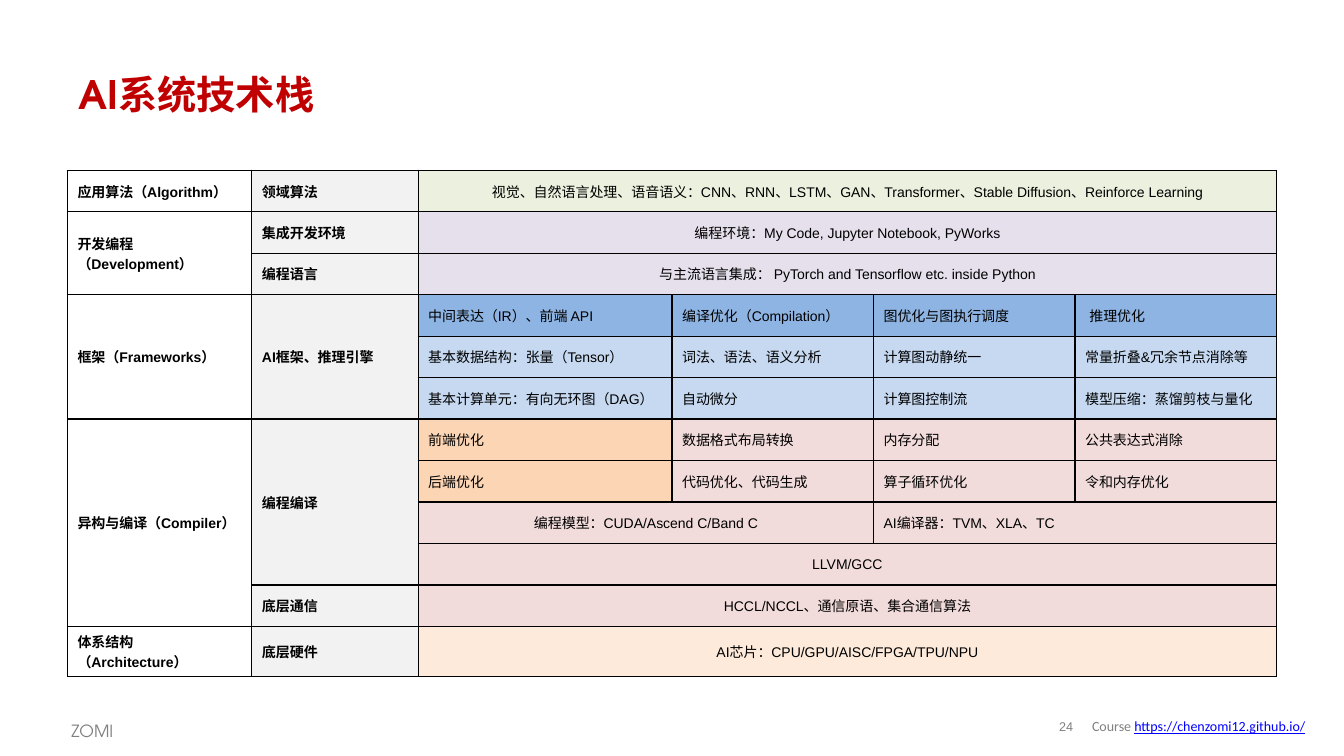
from dataclasses import dataclass
from typing import Any

from lxml import etree
from pptx import Presentation
from pptx.dml.color import RGBColor
from pptx.enum.text import MSO_ANCHOR, MSO_AUTO_SIZE, PP_ALIGN
from pptx.oxml.ns import qn
from pptx.util import Cm, Pt

LEFT, CENTER = PP_ALIGN.LEFT, PP_ALIGN.CENTER
TOP, MIDDLE = MSO_ANCHOR.TOP, MSO_ANCHOR.MIDDLE
NO_AUTOFIT = MSO_AUTO_SIZE.NONE

BLACK, WHITE, GREY, RED, LINK_BLUE = "000000", "FFFFFF", "808080", "C00000", "0000FF"
LABEL_GREY, GREEN, PURPLE = "F2F2F2", "EBF1DE", "E6E0EC"
BLUE, PALE_BLUE = "8EB4E3", "C6D9F1"
ORANGE, PINK, PEACH = "FCD5B5", "F2DCDB", "FDEADA"

DISPLAY_FONT = "TeX Gyre Adventor"
ROW_COUNT = 12
COLUMN_WIDTHS = [4.65, 4.19, 6.4, 5.08, 5.08, 5.08]
TABLE_LEFT, TABLE_TOP, TABLE_HEIGHT = 1.7, 4.29, 12.55
LABEL_COLUMNS = 2
BORDER_SIDES = ("a:lnL", "a:lnR", "a:lnT", "a:lnB")


@dataclass
class StackCell:
    row: int
    column: int
    text: str
    fill: str = WHITE
    rows: int = 1
    columns: int = 1
    align: PP_ALIGN = LEFT


@dataclass
class Phrase:
    text: str
    font: str
    size: float
    color: str
    underline: bool = False


@dataclass
class FooterItem:
    left: float
    top: float
    width: float
    height: float
    phrases: list[Phrase]
    frame_format: dict[str, Any]
    paragraph_format: dict[str, Any]


LAYERS = [
    StackCell(0, 0, "应用算法（Algorithm）"),
    StackCell(1, 0, "开发编程（Development）", rows=2),
    StackCell(3, 0, "框架（Frameworks）", rows=3),
    StackCell(6, 0, "异构与编译（Compiler）", rows=5),
    StackCell(11, 0, "体系结构（Architecture）"),
]
COMPONENTS = [
    StackCell(0, 1, "领域算法", LABEL_GREY),
    StackCell(1, 1, "集成开发环境", LABEL_GREY),
    StackCell(2, 1, "编程语言", LABEL_GREY),
    StackCell(3, 1, "AI框架、推理引擎", LABEL_GREY, rows=3),
    StackCell(6, 1, "编程编译", LABEL_GREY, rows=4),
    StackCell(10, 1, "底层通信", LABEL_GREY),
    StackCell(11, 1, "底层硬件", LABEL_GREY),
]
WIDE_DETAILS = [
    StackCell(row, 2, text, fill, columns=4, align=CENTER)
    for row, text, fill in [
        (0, "视觉、自然语言处理、语音语义：CNN、RNN、LSTM、GAN、Transformer、"
            "Stable Diffusion、Reinforce Learning", GREEN),
        (1, "编程环境：My Code, Jupyter Notebook, PyWorks", PURPLE),
        (2, "与主流语言集成： PyTorch and Tensorflow etc. inside Python", PURPLE),
        (9, "LLVM/GCC", PINK),
        (10, "HCCL/NCCL、通信原语、集合通信算法", PINK),
        (11, "AI芯片：CPU/GPU/AISC/FPGA/TPU/NPU", PEACH),
    ]
]
HALF_DETAILS = [
    StackCell(8, 2, "编程模型：CUDA/Ascend C/Band C", PINK, columns=2, align=CENTER),
    StackCell(8, 4, "AI编译器：TVM、XLA、TC", PINK, columns=2),
]
GRID_START = 3
GRID_ROWS = [
    (BLUE, BLUE, ["中间表达（IR）、前端 API", "编译优化（Compilation）", "图优化与图执行调度", "推理优化"]),
    (PALE_BLUE, PALE_BLUE, ["基本数据结构：张量（Tensor）", "词法、语法、语义分析", "计算图动静统一",
                            "常量折叠&冗余节点消除等"]),
    (PALE_BLUE, PALE_BLUE, ["基本计算单元：有向无环图（DAG）", "自动微分", "计算图控制流",
                            "模型压缩：蒸馏剪枝与量化"]),
    (ORANGE, PINK, ["前端优化", "数据格式布局转换", "内存分配", "公共表达式消除"]),
    (ORANGE, PINK, ["后端优化", "代码优化、代码生成", "算子循环优化", "令和内存优化"]),
]
GRID_DETAILS = [
    StackCell(row, column, text, first_fill if column == LABEL_COLUMNS else fill)
    for row, (first_fill, fill, texts) in enumerate(GRID_ROWS, GRID_START)
    for column, text in enumerate(texts, LABEL_COLUMNS)
]
STACK = LAYERS + COMPONENTS + WIDE_DETAILS + HALF_DETAILS + GRID_DETAILS

NO_MARGINS = dict.fromkeys(("margin_left", "margin_right", "margin_top", "margin_bottom"), 0)
FOOTER = [
    FooterItem(26.42, 17.93, 0.91, 0.79, [Phrase("24", "Arial", 9, GREY)],
               {"vertical_anchor": MIDDLE, **NO_MARGINS},
               {"alignment": CENTER, "line_spacing": 0.85}),
    FooterItem(1.55, 17.93, 2.03, 0.81, [Phrase("ZOMI", DISPLAY_FONT, 12, GREY)],
               {"vertical_anchor": TOP}, {"line_spacing": 1.2}),
    FooterItem(27.28, 17.93, 6.25, 0.74,
               [Phrase("Course ", "Calibri", 10, GREY),
                Phrase("https://chenzomi12.github.io/", "Calibri", 10, LINK_BLUE, True)],
               {"vertical_anchor": MIDDLE}, {"alignment": LEFT}),
]


def rgb(hex_color: str) -> RGBColor:
    return RGBColor.from_string(hex_color)


def apply_format(target: Any, values: dict[str, Any]) -> None:
    for attribute, value in values.items():
        setattr(target, attribute, value)


def format_font(font: Any, name: str, size: float, color: str, **extras: Any) -> None:
    apply_format(font, {"name": name, "size": Pt(size), **extras})
    font.color.rgb = rgb(color)


def add_borders(cell: Any) -> None:
    properties = cell._tc.get_or_add_tcPr()
    for side in BORDER_SIDES:
        border = etree.SubElement(properties, qn(side), w=str(Pt(1)))
        solid = etree.SubElement(border, qn("a:solidFill"))
        etree.SubElement(solid, qn("a:srgbClr"), val=BLACK)


def set_title(slide: Any, text: str) -> None:
    title = slide.shapes.title
    apply_format(title, {"left": Cm(1.73), "top": Cm(1.55),
                         "width": Cm(30.45), "height": Cm(1.63)})
    apply_format(title.text_frame, {"text": text, "vertical_anchor": MIDDLE,
                                    "word_wrap": True, "auto_size": NO_AUTOFIT})
    heading = title.text_frame.paragraphs[0]
    heading.alignment = LEFT
    format_font(heading.runs[0].font, DISPLAY_FONT, 28, RED, bold=True)


def fill_cell(table: Any, item: StackCell) -> None:
    cell = table.cell(item.row, item.column)
    if item.rows * item.columns > 1:
        cell.merge(table.cell(item.row + item.rows - 1, item.column + item.columns - 1))
    apply_format(cell, {"text": item.text, "vertical_anchor": MIDDLE})
    cell.fill.solid()
    cell.fill.fore_color.rgb = rgb(item.fill)
    paragraph = cell.text_frame.paragraphs[0]
    paragraph.alignment = item.align
    format_font(paragraph.runs[0].font, "Arial", 10, BLACK, bold=item.column < LABEL_COLUMNS)


def add_stack_table(slide: Any) -> None:
    table = slide.shapes.add_table(ROW_COUNT, len(COLUMN_WIDTHS), Cm(TABLE_LEFT), Cm(TABLE_TOP),
                                   Cm(sum(COLUMN_WIDTHS)), Cm(TABLE_HEIGHT)).table
    apply_format(table, {"first_row": False, "horz_banding": False})
    for column, width in zip(table.columns, COLUMN_WIDTHS):
        column.width = Cm(width)
    for cell in table.iter_cells():
        add_borders(cell)
    for item in STACK:
        fill_cell(table, item)
    inference = table.cell(GRID_START, len(COLUMN_WIDTHS) - 1)
    apply_format(inference, {"margin_left": Cm(0.36), "margin_right": Cm(0.36),
                             "margin_top": Cm(0.15), "margin_bottom": Cm(0.15)})


def add_footer_item(slide: Any, item: FooterItem) -> None:
    frame = slide.shapes.add_textbox(Cm(item.left), Cm(item.top),
                                     Cm(item.width), Cm(item.height)).text_frame
    apply_format(frame, {"word_wrap": True, **item.frame_format})
    paragraph = frame.paragraphs[0]
    apply_format(paragraph, item.paragraph_format)
    for phrase in item.phrases:
        run = paragraph.add_run()
        run.text = phrase.text
        format_font(run.font, phrase.font, phrase.size, phrase.color, underline=phrase.underline)


def main() -> None:
    deck = Presentation()
    apply_format(deck, {"slide_width": Cm(33.88), "slide_height": Cm(19.05)})
    slide = deck.slides.add_slide(deck.slide_layouts[5])
    set_title(slide, "AI系统技术栈")
    add_stack_table(slide)
    for item in FOOTER:
        add_footer_item(slide, item)
    deck.save("out.pptx")


if __name__ == "__main__":
    main()
